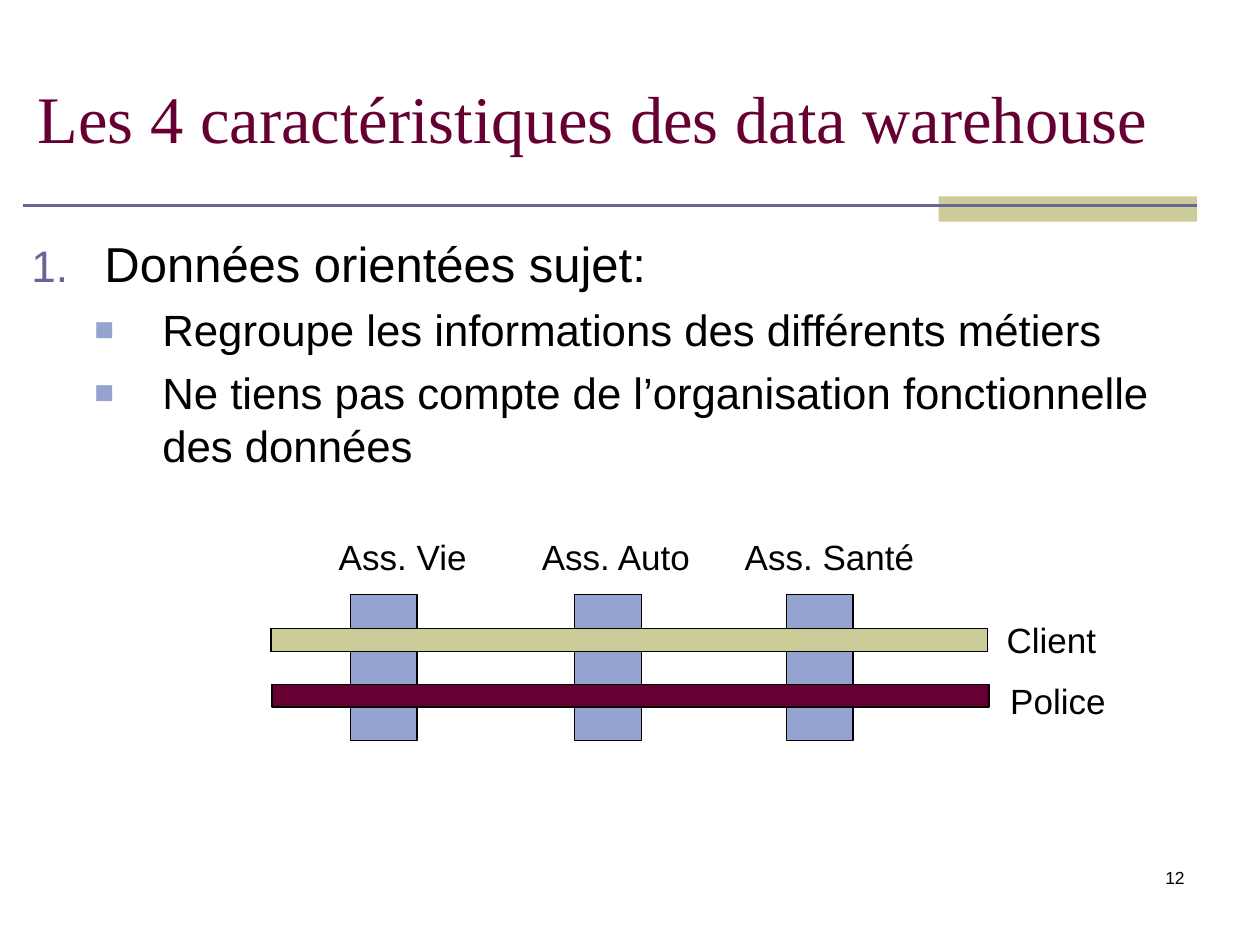
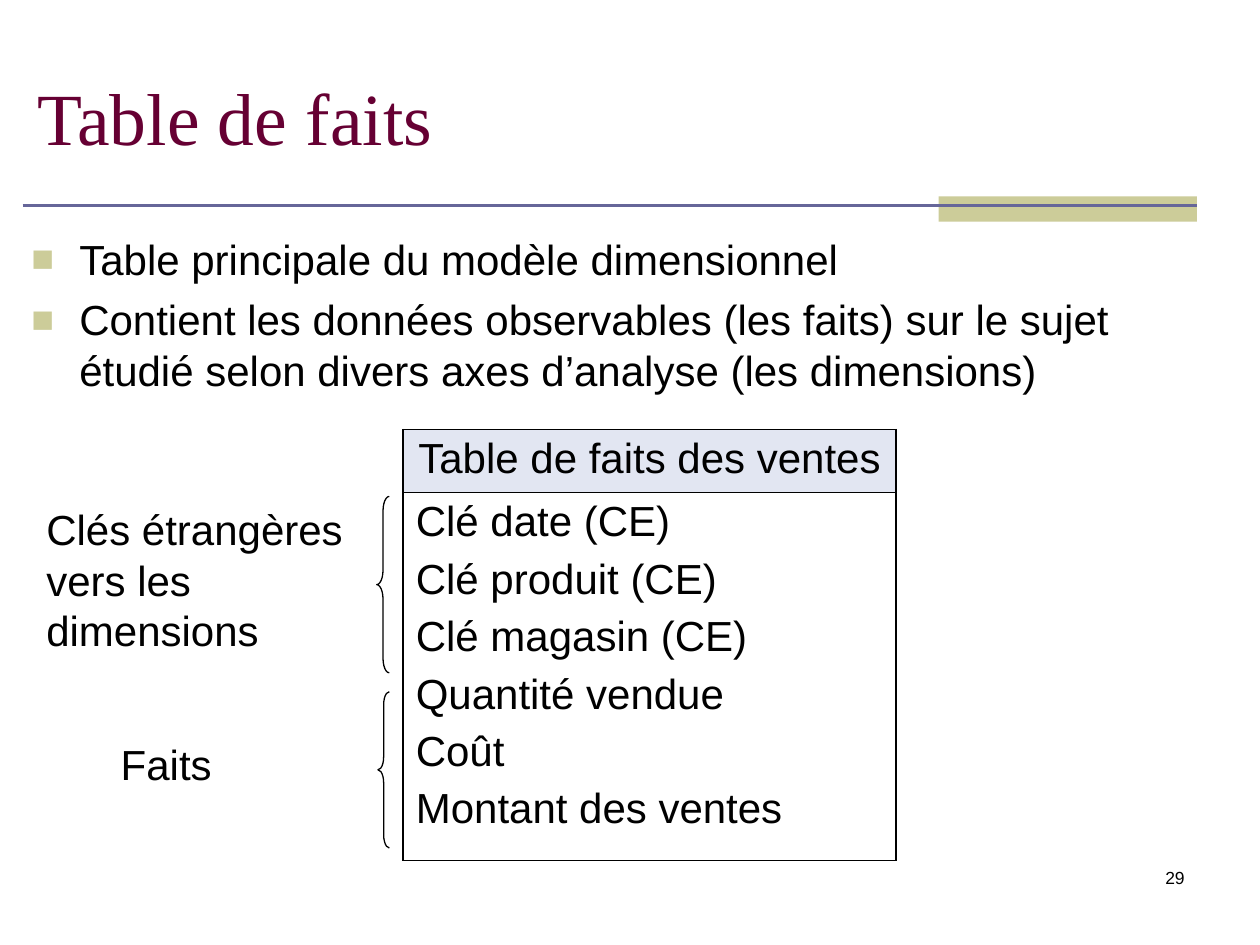
import pptx
import pptx.dml.color
import pptx.enum.shapes
import pptx.enum.text
import pptx.oxml
import pptx.oxml.ns
import pptx.util
from lxml import etree

Pt = pptx.util.Pt
SHAPES = pptx.enum.shapes.MSO_SHAPE
ALIGN = pptx.enum.text.PP_ALIGN
ANCHOR = pptx.enum.text.MSO_ANCHOR
BLACK, BURGUNDY, SAND = "000000", "660033", "CCCC99"
PERIWINKLE, SLATE, PALE_BLUE = "95A3D1", "666699", "E2E6F2"
BODY_FONT, TITLE_FONT = "Arial", "Times New Roman"


def color(hex_string):
    return pptx.dml.color.RGBColor.from_string(hex_string)


def add_child(parent, tag, **attributes):
    child = etree.SubElement(parent, pptx.oxml.ns.qn(tag))
    for name, value in attributes.items():
        child.set(name, str(value))
    return child


def format_paragraph(paragraph, size, font=BODY_FONT, hex_string=BLACK, align=ALIGN.LEFT):
    paragraph.alignment = align
    for run in paragraph.runs:
        run.font.name = font
        run.font.size = Pt(size)
        run.font.color.rgb = color(hex_string)


def add_text(slide, text, left, top, width, height, size, anchor=ANCHOR.TOP, **style):
    shape = slide.shapes.add_textbox(Pt(left), Pt(top), Pt(width), Pt(height))
    text_frame = shape.text_frame
    text_frame.word_wrap = True
    text_frame.vertical_anchor = anchor
    text_frame.text = text
    for paragraph in text_frame.paragraphs:
        format_paragraph(paragraph, size, **style)
    return text_frame


def add_bar(slide, left, top, width, height, fill, outlined=True):
    shape = slide.shapes.add_shape(SHAPES.RECTANGLE, Pt(left), Pt(top), Pt(width), Pt(height))
    shape.shadow.inherit = False
    shape.fill.solid()
    shape.fill.fore_color.rgb = color(fill)
    if outlined:
        shape.line.color.rgb = color(BLACK)
        shape.line.width = Pt(0.75)
    else:
        shape.line.fill.background()


def add_brace(slide, left, top, width, height):
    shape = slide.shapes.add_shape(SHAPES.LEFT_BRACE, Pt(left), Pt(top), Pt(width), Pt(height))
    shape.shadow.inherit = False
    shape.adjustments[0] = 1.15
    shape.fill.background()
    shape.line.color.rgb = color(BLACK)
    shape.line.width = Pt(0.75)


def add_rule(slide, left, right, y):
    connector = slide.shapes.add_connector(
        pptx.enum.shapes.MSO_CONNECTOR.STRAIGHT, Pt(left), Pt(y), Pt(right), Pt(y))
    connector.line.color.rgb = color(SLATE)
    connector.line.width = Pt(1.5)
    add_child(connector._element.spPr, "a:effectLst")


def set_bullet(paragraph, hex_string, percent, margin, hanging, numbered=False, level=0):
    paragraph.level = level
    properties = paragraph._p.get_or_add_pPr()
    properties.set("marL", str(Pt(margin)))
    properties.set("indent", str(-Pt(hanging)))
    add_child(add_child(properties, "a:buClr"), "a:srgbClr", val=hex_string)
    add_child(properties, "a:buSzPct", val=percent * 1000)
    add_child(properties, "a:buFont", typeface=BODY_FONT)
    if numbered:
        add_child(properties, "a:buAutoNum", type="arabicPeriod")
    else:
        add_child(properties, "a:buChar", char="■")


def add_body(slide, lines, height):
    text_frame = add_text(slide, "\n".join(line[0] for line in lines), 10.8, 129.6, 673.2, height, 24)
    for index, (paragraph, line) in enumerate(zip(text_frame.paragraphs, lines)):
        text, size, bullet = line
        set_bullet(paragraph, **bullet)
        format_paragraph(paragraph, size)
        if index:
            paragraph.space_before = Pt(size / 4)


def add_base_slide(presentation, title, title_size, number):
    slide = presentation.slides.add_slide(presentation.slide_layouts[6])
    add_bar(slide, 536.4, 112.3, 147.6, 14.4, SAND, outlined=False)
    add_rule(slide, 13, 684, 117.4)
    add_text(slide, number, 534.2, 491.8, 149.8, 36, 10, align=ALIGN.RIGHT)
    add_text(slide, title, 14.4, 21.6, 669.6, 90, title_size, anchor=ANCHOR.MIDDLE,
             font=TITLE_FONT, hex_string=BURGUNDY)
    return slide


def set_cell_border(cell, side, width):
    line = add_child(cell._tc.get_or_add_tcPr(), "a:ln" + side, w=Pt(width))
    add_child(add_child(line, "a:solidFill"), "a:srgbClr", val=BLACK)


def fill_cell(cell, lines, fill, align, borders):
    cell.text_frame.text = "\n".join(lines)
    for index, paragraph in enumerate(cell.text_frame.paragraphs):
        format_paragraph(paragraph, 24, align=align)
        if index:
            paragraph.space_before = Pt(6)
    for side, width in borders.items():
        set_cell_border(cell, side, width)
    cell.fill.solid()
    cell.fill.fore_color.rgb = color(fill)


def add_fact_table(slide, header, fields):
    frame = slide.shapes.add_table(2, 1, Pt(230.4), Pt(245.5), Pt(281.5), Pt(246.2))
    table = frame.table
    table.first_row = table.horz_banding = False
    table.rows[0].height, table.rows[1].height = Pt(36), Pt(210.2)
    outer, inner = 1.08, 0.45
    fill_cell(table.cell(0, 0), [header], PALE_BLUE, ALIGN.CENTER,
              {"L": outer, "R": outer, "T": outer, "B": inner})
    fill_cell(table.cell(1, 0), fields, "FFFFFF", ALIGN.LEFT,
              {"L": outer, "R": outer, "T": inner, "B": outer})


def build_subject_slide(presentation):
    slide = add_base_slide(presentation, "Les 4 caractéristiques des data warehouse", 38, "12")
    number = dict(hex_string=SLATE, percent=90, margin=41.8, hanging=41.8, numbered=True)
    square = dict(hex_string=PERIWINKLE, percent=75, margin=74.9, hanging=38.9, level=1)
    add_body(slide, [
        ("Données orientées sujet:", 28, number),
        ("Regroupe les informations des différents métiers", 25, square),
        ("Ne tiens pas compte de l’organisation fonctionnelle des données", 25, square),
    ], 143.3)
    for pillar_left in (200.2, 328.3, 449.3):
        add_bar(slide, pillar_left, 339.8, 38.2, 83.5, PERIWINKLE)
    for index, branch in enumerate(("Ass. Vie", "Ass. Auto", "Ass. Santé")):
        add_text(slide, branch, 186.5 + 116 * index, 302.4, 91.5 + 10.8 * index, 31.7, 20)
    add_bar(slide, 154.8, 359.3, 409.7, 13, SAND)
    add_bar(slide, 155.5, 391, 409.7, 13, BURGUNDY)
    add_text(slide, "Client", 568.1, 349.9, 74.2, 31.7, 20)
    add_text(slide, "Police", 570.2, 384.5, 78.5, 31.7, 20)


def build_fact_slide(presentation):
    slide = add_base_slide(presentation, "Table de faits", 42, "29")
    square = dict(hex_string=SAND, percent=90, margin=27.4, hanging=27.4)
    add_body(slide, [
        ("Table principale du modèle dimensionnel", 24, square),
        ("Contient les données observables (les faits) sur le sujet étudié "
         "selon divers axes d’analyse (les dimensions)", 24, square),
    ], 99.4)
    add_fact_table(slide, "Table de faits des ventes", [
        "Clé date (CE)", "Clé produit (CE)", "Clé magasin (CE)",
        "Quantité vendue", "Coût", "Montant des ventes"])
    add_brace(slide, 215.3, 283.7, 7.2, 100.8)
    add_text(slide, "Clés étrangères vers les dimensions", 19.4, 284.4, 185, 93.6, 24)
    add_brace(slide, 216, 395.3, 6.5, 89.3)
    add_text(slide, "Faits", 61.9, 418.3, 153.4, 36, 24)


def main():
    presentation = pptx.Presentation()
    presentation.slide_width, presentation.slide_height = Pt(720), Pt(540)
    build_subject_slide(presentation)
    build_fact_slide(presentation)
    presentation.save("out.pptx")


if __name__ == "__main__":
    main()
